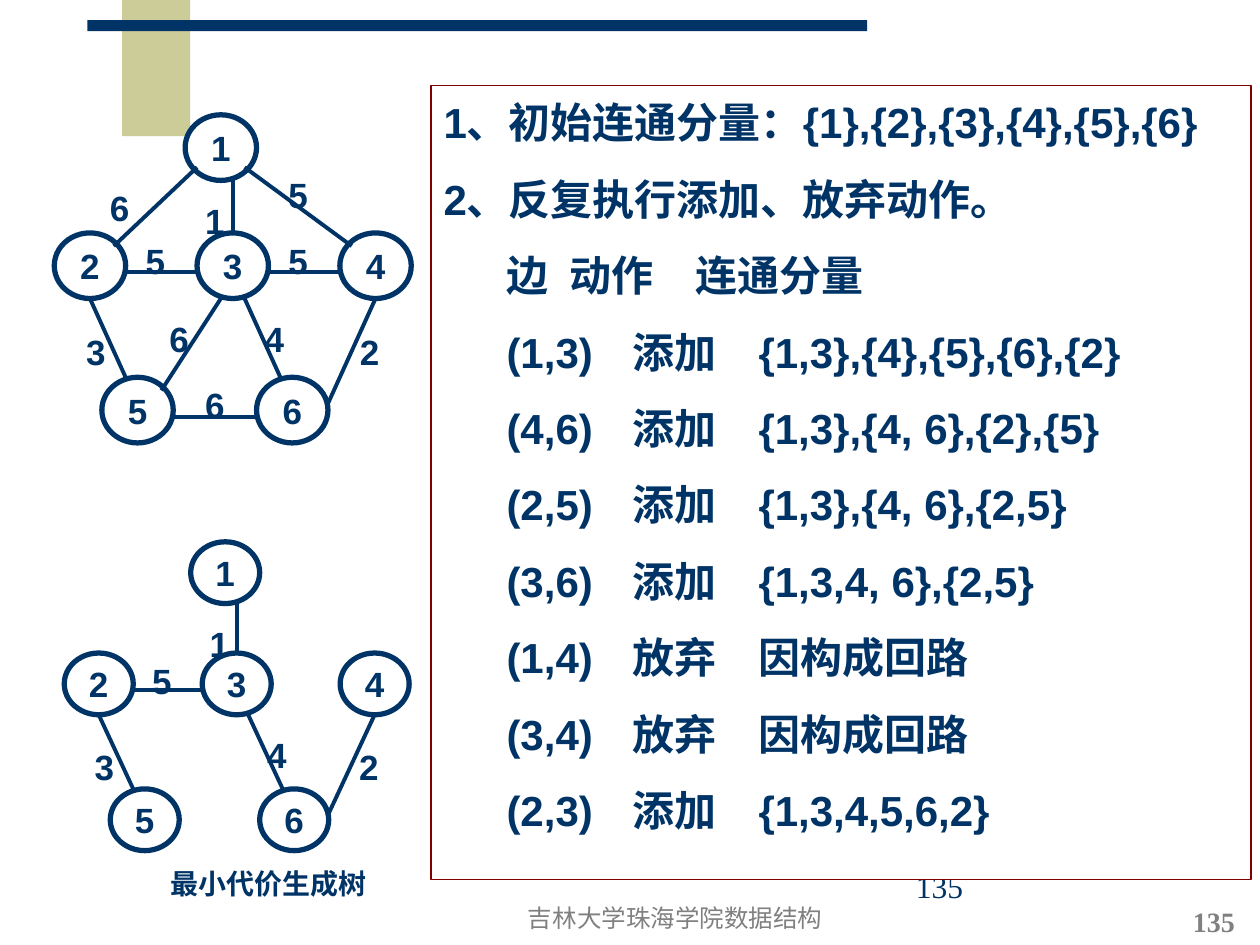
from pptx import Presentation
from pptx.dml.color import RGBColor
from pptx.enum.shapes import MSO_CONNECTOR, MSO_SHAPE
from pptx.enum.text import MSO_ANCHOR, MSO_AUTO_SIZE, PP_ALIGN
from pptx.oxml.ns import qn
from pptx.util import Pt
from lxml.etree import SubElement

NAVY = RGBColor(0x00, 0x33, 0x66)
KHAKI = RGBColor(0xCC, 0xCC, 0x99)
GREY = RGBColor(0x80, 0x80, 0x80)
MAROON = RGBColor(0x80, 0x00, 0x00)
WHITE = RGBColor(0xFF, 0xFF, 0xFF)

# Text formats
NODE = {"name": "Arial", "size": Pt(20), "bold": True}
STEP = {"name": "Arial", "size": Pt(24), "bold": True}
NOTE = {"name": "Arial", "size": Pt(16), "bold": True}
PAGE = {"name": "Times New Roman", "size": Pt(18), "bold": False}
MARK = {"name": "Times New Roman", "size": Pt(16), "bold": True}
FOOT = {"name": "Times New Roman", "size": Pt(14), "bold": False}

# Graph in grid units: node corners, then edge: weight, line ends, label corner
NODES = {1: (11, 0), 2: (0, 9), 3: (12, 9), 4: (24, 9), 5: (4, 20), 6: (17, 20)}
EDGES = {
    (1, 2): (6, (12, 4, 5, 10), (3, 5)),
    (1, 3): (1, (15, 5, 15, 9), (11, 6)),
    (1, 4): (5, (16, 4, 25, 10), (18, 4)),
    (2, 3): (5, (6, 12, 12, 12), (6, 9)),
    (3, 4): (5, (18, 12, 24, 12), (18, 9)),
    (2, 5): (3, (3, 14, 6, 20), (1, 16)),
    (3, 5): (6, (14, 14, 9, 21), (8, 15)),
    (3, 6): (4, (16, 14, 19, 20), (16, 15)),
    (4, 6): (2, (27, 14, 23, 22), (24, 16)),
    (5, 6): (6, (10, 23, 17, 23), (11, 20)),
}
TREE = [(1, 3), (2, 3), (2, 5), (3, 6), (4, 6)]

# Steps of the method: text and its tab stops
HEAD_TABS = (33, 93, 177)
ROW_TABS = (33, 121, 216)
STEPS = [
    ("1、初始连通分量：{1},{2},{3},{4},{5},{6}", ()),
    ("2、反复执行添加、放弃动作。", ()),
    ("\t边\t动作\t连通分量", HEAD_TABS),
    ("\t(1,3)\t添加\t{1,3},{4},{5},{6},{2}", ROW_TABS),
    ("\t(4,6)\t添加\t{1,3},{4, 6},{2},{5}", ROW_TABS),
    ("\t(2,5)\t添加\t{1,3},{4, 6},{2,5}", ROW_TABS),
    ("\t(3,6)\t添加\t{1,3,4, 6},{2,5}", ROW_TABS),
    ("\t(1,4)\t放弃\t因构成回路", ROW_TABS),
    ("\t(3,4)\t放弃\t因构成回路", ROW_TABS),
    ("\t(2,3)\t添加\t{1,3,4,5,6,2}", ROW_TABS),
]


def write(para, text, form, color=NAVY, align=PP_ALIGN.LEFT):
    para.alignment = align
    run = para.add_run()
    run.text = text
    for key, value in form.items():
        setattr(run.font, key, value)
    run.font.color.rgb = color


def add_bar(slide, *place):
    *place, color = place
    bar = slide.shapes.add_shape(MSO_SHAPE.RECTANGLE, *map(Pt, place))
    bar.shadow.inherit = False
    bar.fill.solid()
    bar.fill.fore_color.rgb = color
    bar.line.fill.background()


def add_text(slide, text, place, form, color=NAVY, align=PP_ALIGN.CENTER,
             anchor=MSO_ANCHOR.TOP):
    frame = slide.shapes.add_textbox(*map(Pt, place)).text_frame
    frame.word_wrap = True
    frame.vertical_anchor = anchor
    write(frame.paragraphs[0], text, form, color, align)


def add_node(slide, name, place):
    node = slide.shapes.add_shape(MSO_SHAPE.OVAL, *map(Pt, place))
    node.shadow.inherit = False
    node.fill.background()
    node.line.color.rgb = NAVY
    node.line.width = Pt(3)
    frame = node.text_frame
    frame.word_wrap = False
    frame.vertical_anchor = MSO_ANCHOR.MIDDLE
    write(frame.paragraphs[0], str(name), NODE, align=PP_ALIGN.CENTER)


def add_edge(slide, ends):
    edge = slide.shapes.add_connector(MSO_CONNECTOR.STRAIGHT, *map(Pt, ends))
    edge.line.color.rgb = NAVY
    edge.line.width = Pt(2.25)
    SubElement(edge._element.spPr, qn("a:effectLst"))


def add_graph(slide, left, top, wide, high, edges):
    """Draw all nodes and the given edges on a grid of wide x high units."""
    def spot(x, y):
        return left + x * wide, top + y * high

    for name, corner in NODES.items():
        add_node(slide, name, (*spot(*corner), 6 * wide, 5 * high))
    for edge in edges:
        weight, ends, corner = EDGES[edge]
        add_edge(slide, (*spot(*ends[:2]), *spot(*ends[2:])))
        add_text(slide, str(weight), (*spot(*corner), 5 * wide, 31), NODE)


def set_tabs(para, stops):
    props = para._p.get_or_add_pPr()
    props.set("marL", "0")
    props.set("indent", "0")
    SubElement(props, qn("a:buNone"))
    if stops:
        tabs = SubElement(props, qn("a:tabLst"))
        for stop in stops:
            SubElement(tabs, qn("a:tab"), pos=str(Pt(stop)), algn="l")


def add_steps(slide):
    body = slide.placeholders[1]
    slide.shapes._spTree.append(body._element)  # bring to front
    place = {"left": 246.24, "top": 48.96, "width": 468.72, "height": 453.6}
    for key, value in place.items():
        setattr(body, key, Pt(value))
    body.fill.solid()
    body.fill.fore_color.rgb = WHITE
    body.line.color.rgb = MAROON
    body.line.width = Pt(0.75)
    frame = body.text_frame
    frame.auto_size = MSO_AUTO_SIZE.NONE
    frame.word_wrap = True
    for index, (text, stops) in enumerate(STEPS):
        para = frame.add_paragraph() if index else frame.paragraphs[0]
        set_tabs(para, stops)
        para.line_spacing = 1.1
        para.space_before = Pt(12 if index else 0)
        write(para, text, STEP)


def main():
    deck = Presentation()
    deck.slide_width, deck.slide_height = Pt(720), Pt(540)
    slide = deck.slides.add_slide(deck.slide_layouts[1])
    title = slide.shapes.title._element
    title.getparent().remove(title)

    # Page decoration and numbers
    add_bar(slide, 69.84, 0, 38.88, 77.76, KHAKI)
    add_bar(slide, 49.9, 11.6, 445.7, 6.3, NAVY)
    add_text(slide, "135", (674.64, 513.36, 45.36, 26.64), MARK, GREY, PP_ALIGN.LEFT)
    add_text(slide, "135", (516.24, 491.76, 149.76, 36), PAGE, align=PP_ALIGN.LEFT)

    # Full graph, steps, then the spanning tree
    add_graph(slide, 31, 65.6, 6.8, 7.5, EDGES)
    add_steps(slide)
    add_text(slide, "最小代价生成树", (84.24, 491.76, 138.24, 26.64), NOTE)
    add_graph(slide, 36.7, 309.6, 6.57, 7.06, TREE)

    # Footer
    add_text(slide, "吉林大学珠海学院数据结构", (293.04, 500.4, 185.76, 36), FOOT, GREY,
             anchor=MSO_ANCHOR.BOTTOM)
    deck.save("out.pptx")


if __name__ == "__main__":
    main()
